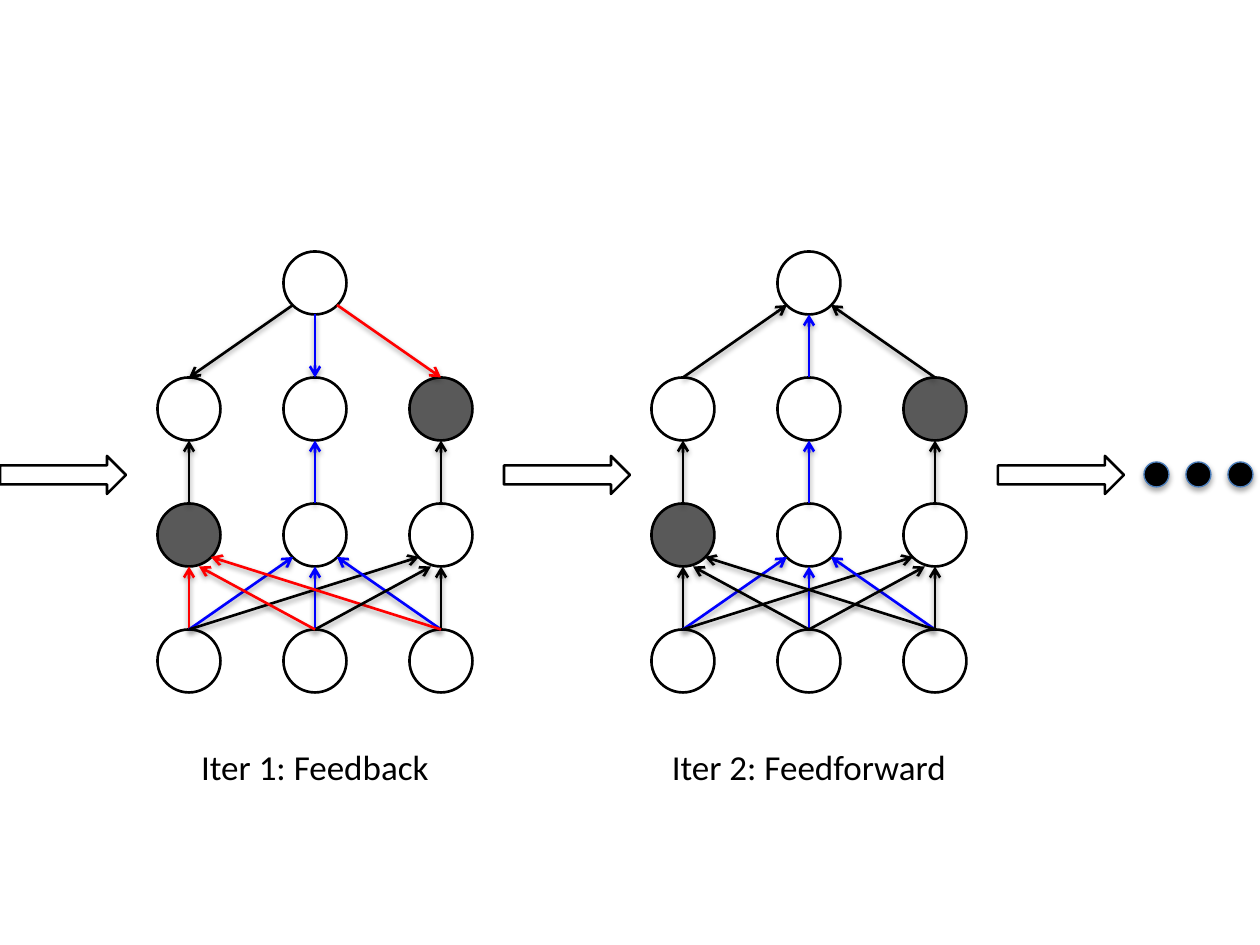
"""Draw two passes of a layered network, feedback then feedforward."""
from dataclasses import dataclass

import lxml.etree
import pptx
import pptx.dml.color
import pptx.enum.shapes
import pptx.enum.text
import pptx.oxml.ns
import pptx.util

SCALE = 914400 / 126
KIND = pptx.enum.shapes.MSO_SHAPE
ROUND = 63
HALF = ROUND / 2
COLS = (189, 315, 441)
ROWS = (661, 535, 409, 283)
SLANT = 22
NEAR = 10


@dataclass(frozen=True)
class Theme:
    """Colours, type and line sizes of the slide."""
    black: str = "000000"
    white: str = "FFFFFF"
    gray: str = "595959"
    red: str = "FF0000"
    blue: str = "0000FF"
    rim: str = "4B7EBC"
    font: str = "Calibri"
    size: int = 20
    thick: float = 1.5
    thin: float = 0.75


@dataclass(frozen=True)
class Wire:
    """A link from a node up to a node of the next row."""
    row: int
    start: int
    end: int
    ink: str


@dataclass(frozen=True)
class Net:
    """One pass of the network."""
    left: int
    label: str
    hot: str
    back: bool


THEME = Theme()
NODES = [(1, 2), (2, 2), (3, 2), (2, 3), (1, 0), (2, 0), (3, 0), (1, 1), (2, 1), (3, 1)]
DARK = {(3, 2), (1, 1)}
NETS = (
    Net(0, "Iter 1: Feedback", THEME.red, True),
    Net(494, "Iter 2: Feedforward", THEME.black, False),
)


def px(value: float) -> pptx.util.Emu:
    """Turn pixels into EMU."""
    return pptx.util.Emu(round(value * SCALE))


def tint(code: str) -> pptx.dml.color.RGBColor:
    """Turn a hex code into a colour."""
    return pptx.dml.color.RGBColor.from_string(code)


def add(parent, tag: str, **attrs: str):
    """Append an XML child with its attributes."""
    return lxml.etree.SubElement(parent, pptx.oxml.ns.qn(tag), attrs)


def shade(effects, alpha: int, drop: int) -> None:
    """Cast a soft shadow straight down."""
    cast = add(effects, "a:outerShdw", blurRad="40000", dist=str(drop),
               dir="5400000", rotWithShape="0")
    color = add(cast, "a:srgbClr", val=THEME.black)
    add(color, "a:alpha", val=str(alpha * 1000))


def draw(slide, kind, left: float, top: float, wide: float, high: float,
         fill: str = THEME.white, ink: str = THEME.black, thick: float = THEME.thick):
    """Draw a filled preset shape with an outline."""
    shape = slide.shapes.add_shape(kind, px(left), px(top), px(wide), px(high))
    shape.shadow.inherit = False
    shape.fill.solid()
    shape.fill.fore_color.rgb = tint(fill)
    shape.line.color.rgb = tint(ink)
    shape.line.width = pptx.util.Pt(thick)
    return shape


def write(slide, text: str, *, left: int, top: int, wide: int, high: int,
          size: int = THEME.size, ink: str = THEME.black) -> None:
    """Write centred text in a box."""
    box = slide.shapes.add_textbox(px(left), px(top), px(wide), px(high))
    frame = box.text_frame
    frame.word_wrap = True
    frame.vertical_anchor = pptx.enum.text.MSO_ANCHOR.MIDDLE
    line = frame.paragraphs[0]
    line.alignment = pptx.enum.text.PP_ALIGN.CENTER
    run = line.add_run()
    run.text = text
    run.font.name = THEME.font
    run.font.size = pptx.util.Pt(size)
    run.font.color.rgb = tint(ink)


def link(slide, tail: tuple, head: tuple, ink: str) -> None:
    """Draw an arrow between two points."""
    line = slide.shapes.add_connector(
        pptx.enum.shapes.MSO_CONNECTOR.STRAIGHT, *map(px, tail + head))
    line.line.color.rgb = tint(ink)
    line.line.width = pptx.util.Pt(THEME.thick)
    props = line._element.spPr
    add(props.find(pptx.oxml.ns.qn("a:ln")), "a:tailEnd", type="arrow")
    shade(add(props, "a:effectLst"), 38, 20000)


def ends(wire: Wire, left: int) -> tuple:
    """Find the lower and upper points of a wire."""
    start, end = COLS[wire.start - 1], COLS[wire.end - 1]
    side = (start > end) - (start < end)
    fan = wire.start == 2 and side != 0
    over = NEAR if fan else SLANT
    drop = HALF if fan or not side else SLANT
    low = (left + start, ROWS[wire.row] - HALF)
    high = (left + end + side * over, ROWS[wire.row + 1] + drop)
    return low, high


def wires(hot: str) -> list[Wire]:
    """List the wires, with the hot colour where it applies."""
    inks = {1: hot, 2: THEME.blue, 3: THEME.black}
    pairs = [(1, 1), (1, 2), (1, 3), (2, 2), (3, 2), (3, 3), (3, 1)]
    base = [Wire(0, start, end, inks[end]) for start, end in pairs]
    rise = [Wire(1, 1, 1, THEME.black), Wire(1, 2, 2, THEME.blue),
            Wire(1, 3, 3, THEME.black)]
    peak = [Wire(2, 1, 2, THEME.black), Wire(2, 2, 2, THEME.blue), Wire(2, 3, 2, hot)]
    fan = [Wire(0, 2, end, inks[end]) for end in (3, 1)]
    return base + rise + peak + fan


def build(slide, net: Net) -> None:
    """Draw one network with its label."""
    for col, row in NODES:
        fill = THEME.gray if (col, row) in DARK else THEME.white
        draw(slide, KIND.FLOWCHART_CONNECTOR, net.left + COLS[col - 1] - HALF,
             ROWS[row] - HALF, ROUND, ROUND, fill)
    for wire in wires(net.hot):
        low, high = ends(wire, net.left)
        if net.back and wire.row == 2:
            low, high = high, low
        link(slide, low, high, wire.ink)
    write(slide, net.label, left=net.left + 126, top=735, wide=378, high=63)


def main() -> None:
    """Build and save the slide."""
    deck = pptx.Presentation()
    deck.slide_width, deck.slide_height = px(1260), px(945)
    slide = deck.slides.add_slide(deck.slide_layouts[6])
    for net in NETS:
        build(slide, net)
    for left in (0, 504, 998):
        draw(slide, KIND.RIGHT_ARROW, left, 456, 126, 38)
    for step in range(3):
        dot = draw(slide, KIND.OVAL, 1144 + 42 * step, 462, 25, 25,
                   THEME.black, THEME.rim, THEME.thin)
        shade(dot._element.spPr.find(pptx.oxml.ns.qn("a:effectLst")), 35, 23000)
    deck.save("out.pptx")


main()
